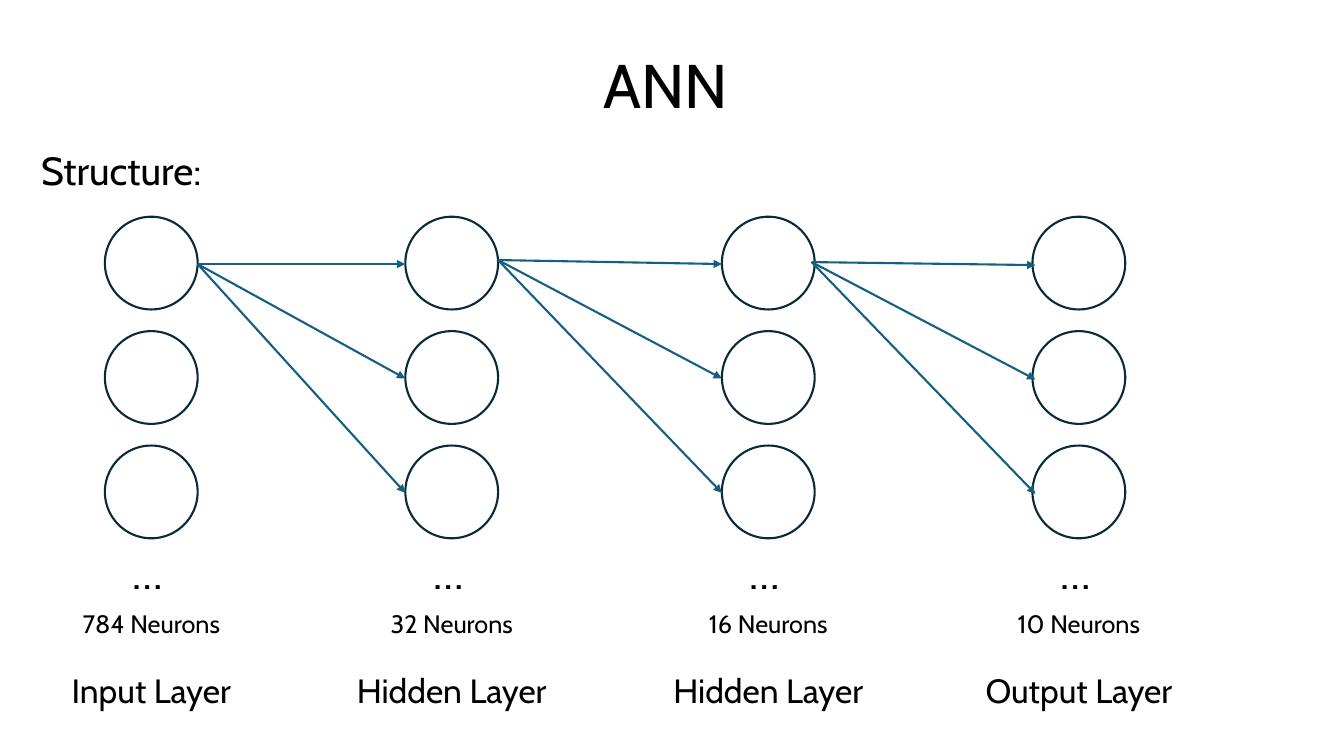
import lxml.etree
import pptx
import pptx.dml.color
import pptx.enum.shapes
import pptx.enum.text
import pptx.oxml.ns
import pptx.util

Inches = pptx.util.Inches
CENTER = pptx.enum.text.PP_ALIGN.CENTER
LEFT = pptx.enum.text.PP_ALIGN.LEFT


def color(hex_string):
    return pptx.dml.color.RGBColor.from_string(hex_string)


def write_lines(shape, lines, alignment=LEFT):
    """Fill the shape with one paragraph per (text, point size) pair."""
    text_frame = shape.text_frame
    text_frame.text = "\n".join(text for text, size in lines)
    text_frame.word_wrap = False
    for paragraph, (text, size) in zip(text_frame.paragraphs, lines):
        paragraph.alignment = alignment
        font = paragraph.runs[0].font
        font.name = "Cabin"
        font.size = pptx.util.Pt(size)
        font.color.rgb = color("000000")


presentation = pptx.Presentation()
presentation.slide_width = Inches(13.33)
presentation.slide_height = Inches(7.5)
slide = presentation.slides.add_slide(presentation.slide_layouts[5])

title = slide.shapes.title
title.left, title.top = Inches(0.92), Inches(0.15)
title.width, title.height = Inches(11.5), Inches(1.45)
write_lines(title, [("ANN ", 44)], CENTER)
title.text_frame.word_wrap = True
title.text_frame.vertical_anchor = pptx.enum.text.MSO_ANCHOR.MIDDLE
title.text_frame.paragraphs[0].line_spacing = 0.9

heading = slide.shapes.add_textbox(Inches(0.31), Inches(1.4), Inches(1.98), Inches(0.57))
write_lines(heading, [("Structure:", 28)])

# Layers: left edge of the neurons, neuron count, name
layers = [
    (1.04, "784 Neurons", "Input Layer"),
    (4.02, "32 Neurons", "Hidden Layer"),
    (7.16, "16 Neurons", "Hidden Layer"),
    (10.24, "10 Neurons", "Output Layer"),
]
diameter = 0.92
neuron_top = 2.15
neuron_pitch = 1.135
neuron_rows = 3
label_width = 2.12

for left, count, name in layers:
    layer = slide.shapes.add_group_shape()
    for row in range(neuron_rows):
        neuron = layer.shapes.add_shape(
            pptx.enum.shapes.MSO_SHAPE.OVAL,
            Inches(left), Inches(neuron_top + row * neuron_pitch),
            Inches(diameter), Inches(diameter))
        neuron.shadow.inherit = False
        neuron.fill.solid()
        neuron.fill.fore_color.rgb = color("FFFFFF")
        neuron.line.color.rgb = color("092A39")
        neuron.line.width = pptx.util.Pt(1.5)

    ellipsis = layer.shapes.add_textbox(
        Inches(left + 0.18), Inches(5.35), Inches(0.57), Inches(0.64))
    write_lines(ellipsis, [("…", 32)])

    label = layer.shapes.add_textbox(
        Inches(left + (diameter - label_width) / 2), Inches(5.99),
        Inches(label_width), Inches(1.11))
    write_lines(label, [(count, 18), (name, 24)], CENTER)
    label.text_frame.paragraphs[1].space_before = pptx.util.Pt(22)

# Arrow fans: shared start point, then the end point in the first row
fans = [
    (1.96, 2.62, 4.02, 2.62),
    (4.94, 2.58, 7.16, 2.62),
    (8.05, 2.6, 10.27, 2.63),
]
for start_x, start_y, end_x, first_end_y in fans:
    for row in range(neuron_rows):
        arrow = slide.shapes.add_connector(
            pptx.enum.shapes.MSO_CONNECTOR.STRAIGHT,
            Inches(start_x), Inches(start_y),
            Inches(end_x), Inches(first_end_y + row * neuron_pitch))
        arrow.line.color.rgb = color("156082")
        arrow.line.width = pptx.util.Pt(1.5)
        line_xml = arrow.line._get_or_add_ln()
        lxml.etree.SubElement(line_xml, pptx.oxml.ns.qn("a:tailEnd"), type="triangle")
        lxml.etree.SubElement(arrow._element.spPr, pptx.oxml.ns.qn("a:effectLst"))

presentation.save("out.pptx")
